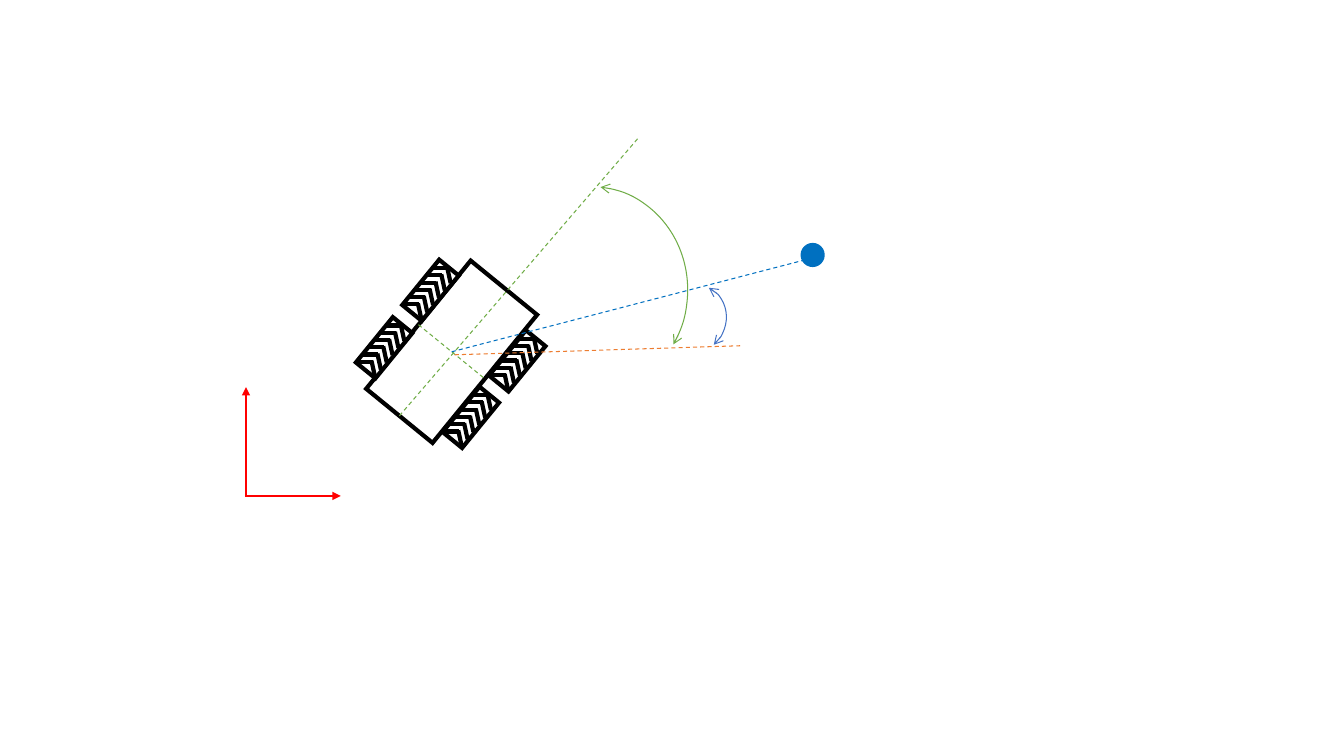
import math
import pptx
import pptx.util
import pptx.dml.color
import pptx.enum.dml
import pptx.enum.shapes
import pptx.oxml.ns
from lxml import etree

SHAPES = pptx.enum.shapes.MSO_SHAPE
THEME = {
    "frame": "FF0000", "ink": "000000", "paper": "FFFFFF",
    "heading": "70AD47", "reference": "ED7D31", "target": "0070C0", "bearing": "4472C4",
    "thin": 0.75, "medium": 1.5, "thick": 3,
}

SLIDE_SIZE = (13.33, 7.5)
FRAME_AXES = [((2.44, 4.91), (2.44, 3.84)), ((2.43, 4.92), (3.38, 4.92))]

ROBOT_CENTER = (4.48, 3.49)
ROBOT_TURN = -50.8
BODY_SIZE = (1.64, 0.85)
WHEEL_SIZE = (0.58, 0.25)
WHEEL_CENTERS = [(4.27, 2.88), (5.13, 3.58), (4.67, 4.14), (3.81, 3.45)]

TREADS_PER_WHEEL = 6
FIRST_TREAD = (0.02, -0.22)
TREAD_STEP = (-0.058, 0.072)
TREAD_STROKES = [((0, 0), (0.155, 0)), ((0.18, 0.15), (0.145, -0.01))]

HEADING_END = (6.33, 1.37)
REFERENCE_LINE = ((4.51, 3.52), (7.34, 3.43))
TARGET_LINE = ((4.48, 3.49), (8.17, 2.53))
TARGET_CENTER, TARGET_SIZE = (8.06, 2.53), (0.24, 0.24)
ARC_SWEEP = (162, 15.682)
HEADING_ARC = ((5.845, 2.89), (1.95, 2.08), 6.1, "heading")
BEARING_ARC = ((6.88, 3.165), (0.64, 0.69), 25.9, "bearing")

deck = pptx.Presentation()
deck.slide_width, deck.slide_height = map(pptx.util.Inches, SLIDE_SIZE)
slide = deck.slides.add_slide(deck.slide_layouts[6])
drawing = slide.shapes.add_group_shape().shapes


def color(role):
    return pptx.dml.color.RGBColor.from_string(THEME[role])


def shifted(point, offset, times=1):
    return tuple(p + o * times for p, o in zip(point, offset))


def robot_point(along, across):
    turn = math.radians(ROBOT_TURN)
    offset = (along * math.cos(turn) - across * math.sin(turn),
              along * math.sin(turn) + across * math.cos(turn))
    return shifted(ROBOT_CENTER, offset)


def stroke(line, role, weight, dashed=False, head=None, tail=None):
    line.color.rgb = color(role)
    line.width = pptx.util.Pt(THEME[weight])
    if dashed:
        line.dash_style = pptx.enum.dml.MSO_LINE.DASH
    outline = line._get_or_add_ln()
    etree.SubElement(outline, pptx.oxml.ns.qn("a:miter"), lim="800000")
    for tag, arrow in (("a:headEnd", head), ("a:tailEnd", tail)):
        if arrow:
            etree.SubElement(outline, pptx.oxml.ns.qn(tag), type=arrow)


def draw_line(start, end, role, weight, **style):
    ends = [pptx.util.Inches(v) for v in (*start, *end)]
    connector = drawing.add_connector(pptx.enum.shapes.MSO_CONNECTOR.STRAIGHT, *ends)
    stroke(connector.line, role, weight, **style)
    etree.SubElement(connector._element.spPr, pptx.oxml.ns.qn("a:effectLst"))
    return connector


def draw_shape(preset, center, size, turn=0, fill=None):
    corner = shifted(center, size, -0.5)
    shape = drawing.add_shape(preset, *[pptx.util.Inches(v) for v in (*corner, *size)])
    shape.rotation = turn
    shape.shadow.inherit = False
    if fill:
        shape.fill.solid()
        shape.fill.fore_color.rgb = color(fill)
    else:
        shape.fill.background()
    return shape


def draw_block(center, size):
    block = draw_shape(SHAPES.RECTANGLE, center, size, ROBOT_TURN, "paper")
    stroke(block.line, "ink", "thick")
    return block


def draw_angle(center, size, turn, role):
    arc = draw_shape(SHAPES.ARC, center, size, turn)
    arc.adjustments[0], arc.adjustments[1] = ARC_SWEEP
    stroke(arc.line, role, "thin", head="arrow", tail="arrow")


def join_start(connector, block, site, point):
    connector.begin_connect(block, site)
    connector.begin_x, connector.begin_y = map(pptx.util.Inches, point)


def join_end(connector, block, site, point):
    connector.end_connect(block, site)
    connector.end_x, connector.end_y = map(pptx.util.Inches, point)


for start, end in FRAME_AXES:
    draw_line(start, end, "frame", "medium", tail="triangle")

body = draw_block(ROBOT_CENTER, BODY_SIZE)
for wheel in WHEEL_CENTERS:
    draw_block(wheel, WHEEL_SIZE)
for wheel in WHEEL_CENTERS:
    for tread in range(TREADS_PER_WHEEL):
        tip = shifted(shifted(wheel, FIRST_TREAD), TREAD_STEP, tread)
        for start, end in TREAD_STROKES:
            draw_line(shifted(tip, start), shifted(tip, end), "ink", "thick")

half_length, half_width = (side / 2 for side in BODY_SIZE)
rear = robot_point(-half_length, 0)
left_side, right_side = robot_point(0, -half_width), robot_point(0, half_width)
heading = draw_line(rear, HEADING_END, "heading", "thin", dashed=True)
join_start(heading, body, 1, rear)
axle = draw_line(left_side, right_side, "heading", "thin", dashed=True)
join_start(axle, body, 0, left_side)
join_end(axle, body, 2, right_side)

draw_line(*REFERENCE_LINE, "reference", "thin", dashed=True)
draw_angle(*HEADING_ARC)
target = draw_shape(SHAPES.OVAL, TARGET_CENTER, TARGET_SIZE, fill="target")
target.line.fill.background()
draw_line(*TARGET_LINE, "target", "thin", dashed=True)
draw_angle(*BEARING_ARC)

deck.save("out.pptx")
